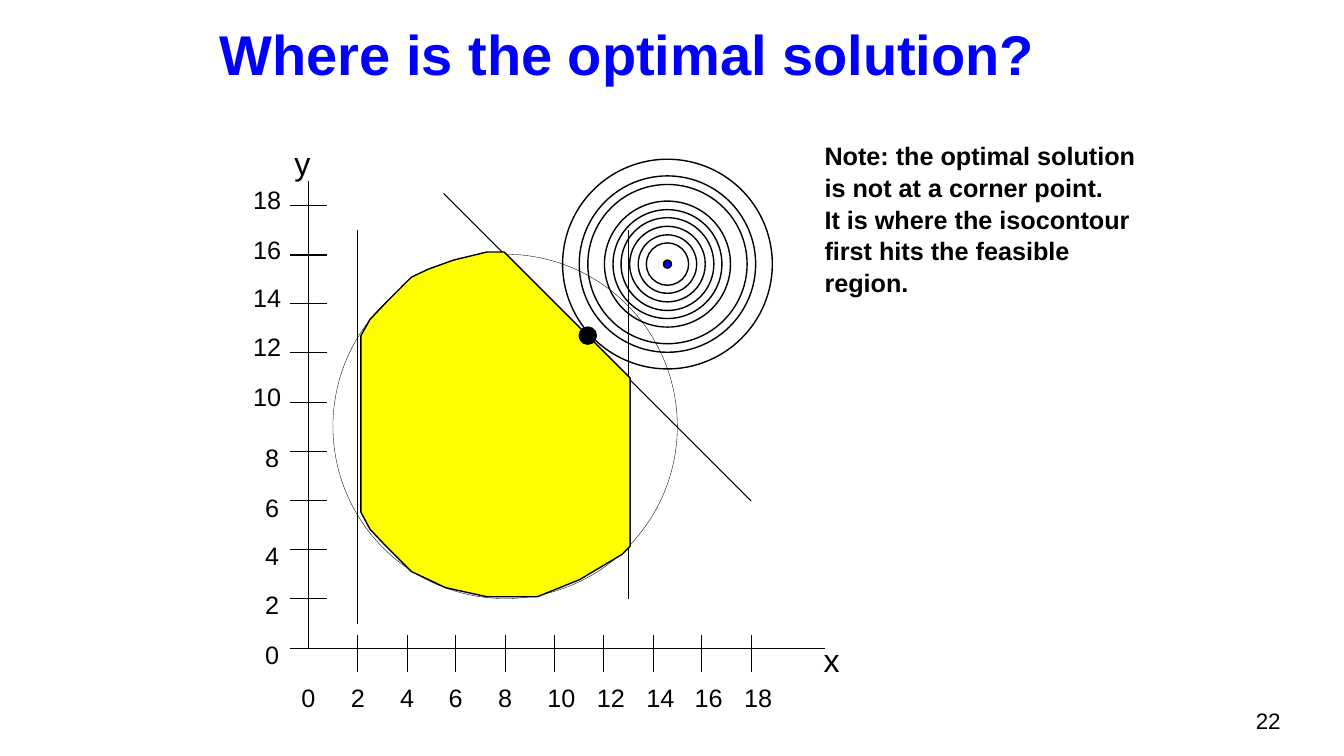
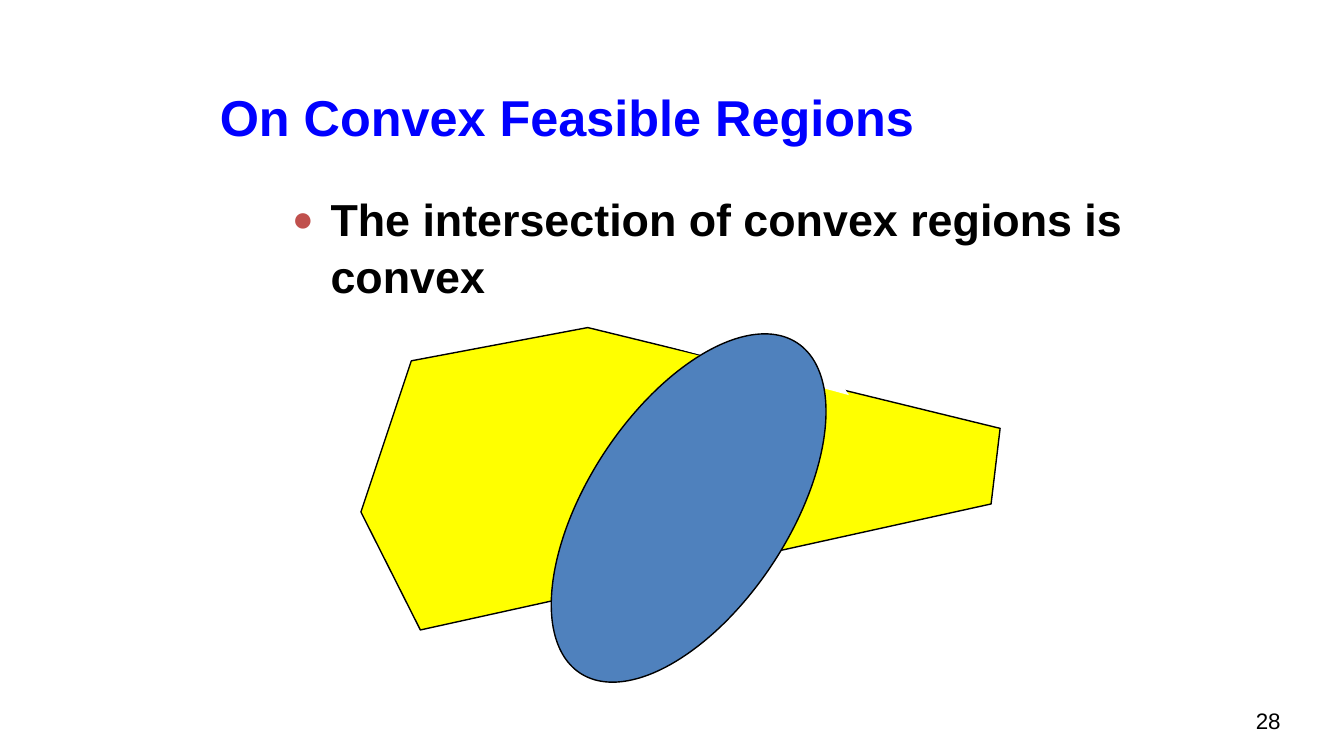
from lxml import etree
from pptx import Presentation
from pptx.dml.color import RGBColor
from pptx.enum.shapes import MSO_CONNECTOR, MSO_SHAPE
from pptx.enum.text import MSO_ANCHOR, MSO_AUTO_SIZE, PP_ALIGN
from pptx.oxml.ns import qn
from pptx.util import Pt

PX = 9144  # 100 px to the inch
FONT = "Arial"
BLACK = RGBColor(0x00, 0x00, 0x00)
WHITE = RGBColor(0xFF, 0xFF, 0xFF)
BLUE = RGBColor(0x00, 0x00, 0xFF)
STEEL = RGBColor(0x4F, 0x81, 0xBD)
YELLOW = RGBColor(0xFF, 0xFF, 0x00)
BULLET_RED = "C0504D"

# Plot scale: origin in px and px per axis unit
ORIGIN_X, ORIGIN_Y, UNIT = 306, 643, 24.4
AXIS_VALUES = range(0, 19, 2)

FEASIBLE_REGION = [
    (500, 250), (483, 250), (450, 258), (425, 267), (408, 275), (400, 283),
    (383, 300), (367, 317), (358, 333), (358, 508), (367, 525), (383, 542),
    (408, 567), (442, 583), (483, 592), (533, 592), (575, 575), (617, 550),
    (625, 542), (625, 375)]
CONTOUR_CENTRE = (662, 262)
CONTOUR_DIAMETERS = [42, 58, 75, 92, 108, 125, 158, 175, 208]

CONVEX_POLYGON = [(417, 625), (358, 508), (408, 358), (583, 325),
                  (992, 425), (983, 500)]
WHITE_TRIANGLE = [(658, 342), (842, 392), (783, 300)]


def px(*lengths):
    return [round(n * PX) for n in lengths]


def plot_x(value):
    return round(ORIGIN_X + value * UNIT)


def plot_y(value):
    return round(ORIGIN_Y - value * UNIT)


# Text
def write(tf, text, size=18, color=BLACK, bold=False, align=PP_ALIGN.LEFT,
          anchor=MSO_ANCHOR.TOP, wrap=True, insets=(10, 5)):
    tf.text = text
    tf.word_wrap = wrap
    tf.auto_size = MSO_AUTO_SIZE.NONE
    tf.vertical_anchor = anchor
    tf.margin_left = tf.margin_right = insets[0] * PX
    tf.margin_top = tf.margin_bottom = insets[1] * PX
    p = tf.paragraphs[0]
    p.alignment = align
    for r in p.runs:
        r.font.name, r.font.size, r.font.bold = FONT, Pt(size), bold
        r.font.color.rgb = color
    return p


def add_text(s, text, x, y, w, h, **fmt):
    return write(s.shapes.add_textbox(*px(x, y, w, h)).text_frame, text, **fmt)


def add_label(s, text, x, y, size=18):
    add_text(s, text, x, y, 14 * len(text), 30, size=size, wrap=False,
             insets=(0, 0))


def add_bullet(p, char, color, indent):
    pPr = p._p.get_or_add_pPr()
    pPr.set("marL", str(indent * PX))
    pPr.set("indent", str(-indent * PX))
    bu_clr = etree.SubElement(pPr, qn("a:buClr"))
    etree.SubElement(bu_clr, qn("a:srgbClr"), val=color)
    etree.SubElement(pPr, qn("a:buSzPct"), val="80000")
    etree.SubElement(pPr, qn("a:buFont"), typeface=FONT)
    etree.SubElement(pPr, qn("a:buChar"), char=char)


# Shapes
def paint(shape, fill, line, width):
    shape.shadow.inherit = False
    if fill is None:
        shape.fill.background()
    else:
        shape.fill.solid()
        shape.fill.fore_color.rgb = fill
    if line is None:
        shape.line.fill.background()
    else:
        shape.line.color.rgb = line
        shape.line.width = Pt(width)


def add_ellipse(s, cx, cy, w, h, fill=None, width=1, rotation=0):
    shape = s.shapes.add_shape(MSO_SHAPE.OVAL,
                               *px(cx - w / 2, cy - h / 2, w, h))
    shape.rotation = rotation
    paint(shape, fill, BLACK, width)


def add_polygon(s, points, fill, line=BLACK):
    builder = s.shapes.build_freeform(*points[0], scale=PX)
    builder.add_line_segments(points[1:], close=True)
    paint(builder.convert_to_shape(), fill, line, 1)


def add_line(s, x1, y1, x2, y2):
    line = s.shapes.add_connector(MSO_CONNECTOR.STRAIGHT, *px(x1, y1, x2, y2))
    line.line.color.rgb = BLACK
    line.line.width = Pt(0.75)
    etree.SubElement(line._element.spPr, qn("a:effectLst"))


# Shared slide frame
def add_slide(prs, title, number, size, box):
    s = prs.slides.add_slide(prs.slide_layouts[5])
    t = s.shapes.title
    t.left, t.top, t.width, t.height = px(*box)
    write(t.text_frame, title, size=size, color=BLUE, bold=True,
          anchor=MSO_ANCHOR.BOTTOM)
    add_text(s, str(number), 969, 695, 311, 40, size=16,
             align=PP_ALIGN.RIGHT, anchor=MSO_ANCHOR.MIDDLE)
    return s


def add_axes(s):
    add_line(s, ORIGIN_X, 180, ORIGIN_X, ORIGIN_Y)
    add_line(s, ORIGIN_X, ORIGIN_Y, 818, ORIGIN_Y)
    for value in AXIS_VALUES:
        x, y, text = plot_x(value), plot_y(value), str(value)
        if value:
            add_line(s, x, 630, x, 667)
        add_line(s, 288, y, 324, y)
        add_label(s, text, x - 7, 677)
        if value < 10:
            add_label(s, text, 263, y - 9)
        else:
            add_label(s, text, 251, y - 21)
    add_label(s, "y", 292, 142, size=23)
    add_label(s, "x", 817, 635, size=23)


def build_optimum_slide(prs):
    s = add_slide(prs, "Where is the optimal solution?", 22, 40,
                  (208, 29, 850, 62))
    # Constraints
    add_ellipse(s, plot_x(8), plot_y(9), 14 * UNIT, 14 * UNIT, WHITE, 0.25)
    add_axes(s)
    for x1, y1, x2, y2 in [(2, 1, 2, 17), (13, 2, 13, 17), (18, 6, 5.5, 18.5)]:
        add_line(s, plot_x(x1), plot_y(y1), plot_x(x2), plot_y(y2))
    add_polygon(s, FEASIBLE_REGION, YELLOW)
    # Isocontours and the optimum
    for d in CONTOUR_DIAMETERS:
        add_ellipse(s, *CONTOUR_CENTRE, d, d)
    add_ellipse(s, *CONTOUR_CENTRE, 8, 8, BLUE)
    add_ellipse(s, 583, 333, 17, 17, BLACK)
    p = add_text(s, "Note: the optimal solution is not at a corner point.\v"
                 "It is where the isocontour first hits the feasible region.",
                 808, 133, 333, 162, bold=True)
    p.line_spacing = 1.05


def build_convex_slide(prs):
    s = add_slide(prs, "On Convex Feasible Regions", 28, 36,
                  (208, 29, 901, 121))
    p = add_text(s, "The intersection of convex regions is convex",
                 280, 183, 845, 158, size=32, bold=True)
    p.line_spacing = 1.05
    add_bullet(p, "●", BULLET_RED, 38)
    # Overlapping regions
    add_polygon(s, CONVEX_POLYGON, YELLOW)
    add_polygon(s, WHITE_TRIANGLE, WHITE, line=None)
    add_ellipse(s, 683, 504, 200, 392, STEEL, rotation=33.3)


def main():
    prs = Presentation()
    prs.slide_width, prs.slide_height = px(1333, 750)
    build_optimum_slide(prs)
    build_convex_slide(prs)
    prs.save("out.pptx")


if __name__ == "__main__":
    main()
